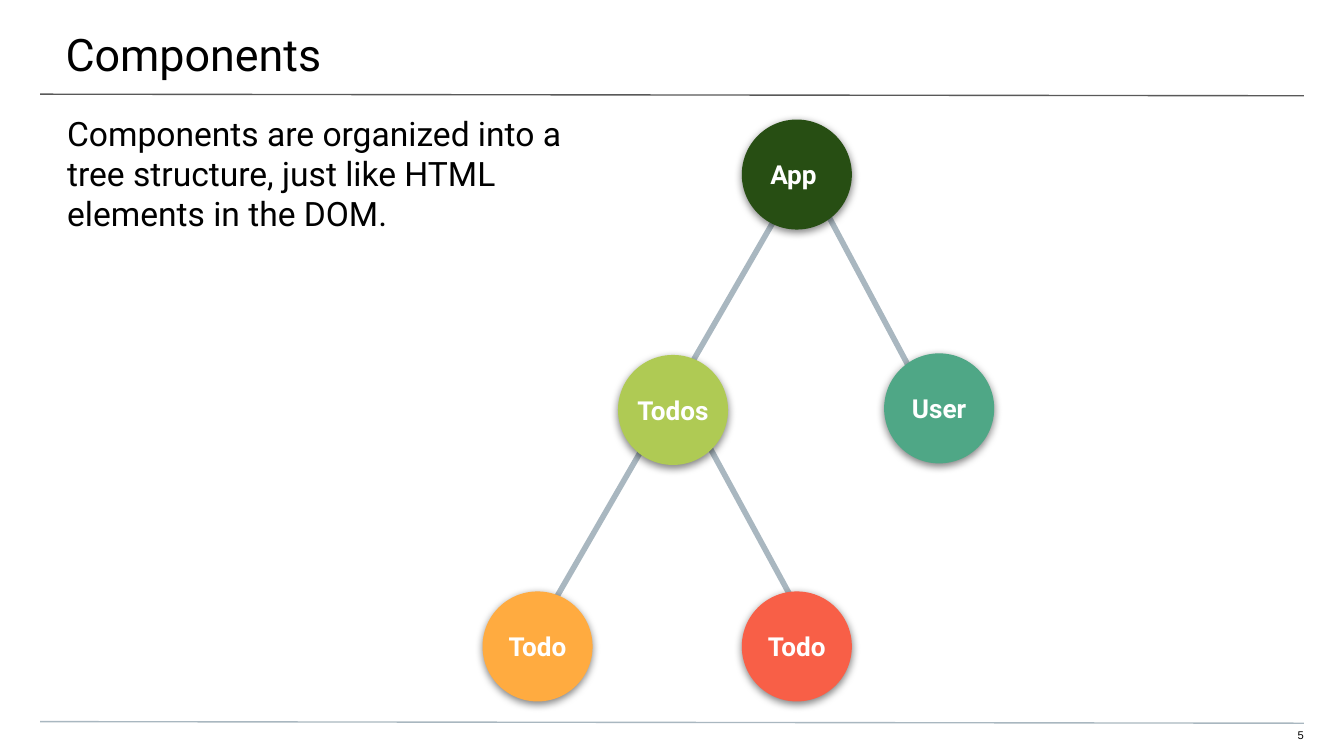
from lxml import etree
from pptx import Presentation
from pptx import util as u
from pptx.dml.color import RGBColor
from pptx.enum import shapes, text
from pptx.oxml import parse_xml
from pptx.oxml.ns import qn

NS = "http://schemas.openxmlformats.org/drawingml/2006/main"
SIZE = 2.08
SHADE = (
    f'<a:effectLst xmlns:a="{NS}">'
    '<a:outerShdw blurRad="57150" dist="19050" dir="5400000" algn="bl" rotWithShape="0">'
    '<a:srgbClr val="000000"><a:alpha val="50000"/></a:srgbClr>'
    '</a:outerShdw></a:effectLst>'
)


def color(code):
    return RGBColor.from_string(code)


def write(frame, words, size, tint="000000", face="Roboto", bold=False,
          align=text.PP_ALIGN.LEFT, pads=(0, 0, 0, 0)):
    frame.word_wrap = True
    frame.margin_left, frame.margin_top, frame.margin_right, frame.margin_bottom = (
        u.Cm(pad) for pad in pads)
    frame.text = words
    para = frame.paragraphs[0]
    para.alignment = align
    font = para.runs[0].font
    font.name, font.size, font.bold = face, u.Pt(size), bold
    font.color.rgb = color(tint)


def label(slide, box, words, size, **style):
    area = slide.shapes.add_textbox(*(u.Cm(n) for n in box))
    write(area.text_frame, words, size, **style)


def line(slide, start, end, tint, width):
    link = slide.shapes.add_connector(
        shapes.MSO_CONNECTOR.STRAIGHT, *(u.Cm(n) for n in start + end))
    link.line.color.rgb = color(tint)
    link.line.width = u.Pt(width)
    etree.SubElement(link._element.spPr, qn("a:effectLst"))


def node(slide, left, top, words, tint):
    disc = slide.shapes.add_shape(
        shapes.MSO_SHAPE.OVAL, u.Cm(left), u.Cm(top), u.Cm(SIZE), u.Cm(SIZE))
    disc.fill.solid()
    disc.fill.fore_color.rgb = color(tint)
    disc.line.fill.background()
    disc._element.spPr.append(parse_xml(SHADE))
    frame = disc.text_frame
    write(frame, words, 14, tint="FFFFFF", bold=True, align=text.PP_ALIGN.CENTER)
    frame.vertical_anchor = text.MSO_ANCHOR.MIDDLE


def main():
    deck = Presentation()
    deck.slide_width, deck.slide_height = u.Cm(25.4), u.Cm(14.29)
    slide = deck.slides.add_slide(deck.slide_layouts[6])

    for top, tint in ((1.78, "595959"), (13.64, "A9B7C0")):
        line(slide, (0.76, top), (24.64, top + 0.03), tint, 0.75)

    label(slide, (-0.03, 0, 25.48, 1.47), "Components", 24,
          pads=(1.27, 0.51, 0.76, 0.25))
    label(slide, (0, 1.88, 12.09, 5.18),
          "Components are organized into a tree structure, "
          "just like HTML elements in the DOM.", 18,
          pads=(1.27, 0.25, 1.27, 0))
    label(slide, (23.9, 13.77, 0.74, 0.3), "5", 6, face="Arial",
          align=text.PP_ALIGN.RIGHT, pads=(0, 0, 0, 0.25))

    for start, end in (((12.85, 7.42), (15.62, 12.52)),
                       ((15.32, 3.45), (18.06, 8.59)),
                       ((15.32, 2.97), (9.53, 13))):
        line(slide, start, end, "A9B7C0", 3)

    for item in ((14.02, 2.26, "App ", "274E13"),
                 (11.68, 6.71, "Todos", "AFCA54"),
                 (16.71, 6.68, "User", "4FA786"),
                 (9.12, 11.18, "Todo", "FFAB40"),
                 (14.02, 11.18, "Todo", "F85F47")):
        node(slide, *item)

    deck.save("out.pptx")


if __name__ == "__main__":
    main()
